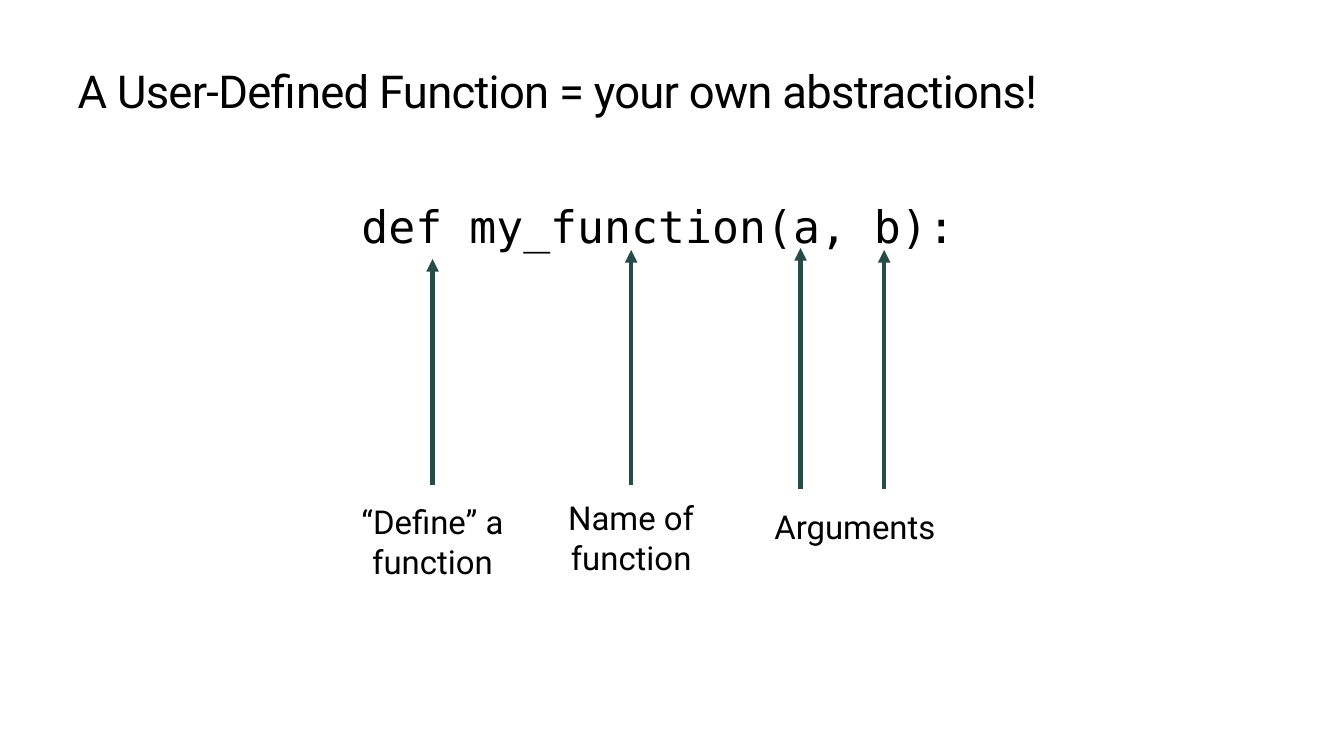
from lxml import etree
from pptx import Presentation
from pptx.dml.color import RGBColor
from pptx.enum.shapes import MSO_CONNECTOR
from pptx.enum.text import MSO_ANCHOR, PP_ALIGN
from pptx.oxml.ns import qn
from pptx.util import Inches, Pt

BLACK = RGBColor(0x00, 0x00, 0x00)
DARK_TEAL = RGBColor(0x27, 0x4B, 0x47)
TEXT_FONT, CODE_FONT = "Roboto", "DejaVu Sans Mono"
LABEL_SIZE = 23.5
INSET = Inches(0.13)

TITLE = "A User-Defined Function = your own abstractions!"
CODE = "def my_function(a, b): "
# text, (left, top, width, height), alignment
LABELS = [
    ("“Define” a function", (3.3, 4.85, 1.98, 1.25), PP_ALIGN.CENTER),
    ("Name of function", (5.45, 4.81, 1.62, 0.57), PP_ALIGN.CENTER),
    ("Arguments", (7.55, 4.9, 1.98, 0.57), PP_ALIGN.LEFT),
]
# x, y at the label, y at the code
ARROWS = [(4.29, 4.81, 2.57), (6.26, 4.81, 2.48), (7.94, 4.85, 2.46), (8.77, 4.85, 2.48)]


def add_text(slide, text, box, size, font=TEXT_FONT, align=PP_ALIGN.LEFT):
    """Add a one-paragraph text box and return its paragraph."""
    frame = slide.shapes.add_textbox(*map(Inches, box)).text_frame
    frame.word_wrap = True
    frame.vertical_anchor = MSO_ANCHOR.TOP
    frame.margin_left = frame.margin_right = INSET
    frame.margin_top = frame.margin_bottom = INSET
    paragraph = frame.paragraphs[0]
    paragraph.text = text
    paragraph.alignment = align
    paragraph.font.name = font
    paragraph.font.size = Pt(size)
    paragraph.font.color.rgb = BLACK
    return paragraph


def add_arrow(slide, x, start_y, tip_y):
    arrow = slide.shapes.add_connector(
        MSO_CONNECTOR.STRAIGHT, Inches(x), Inches(start_y), Inches(x), Inches(tip_y))
    arrow.line.color.rgb = DARK_TEAL
    arrow.line.width = Pt(3)
    properties = arrow._element.spPr
    etree.SubElement(properties.find(qn("a:ln")), qn("a:tailEnd"), type="triangle")
    etree.SubElement(properties, qn("a:effectLst"))


def main():
    prs = Presentation()
    prs.slide_width, prs.slide_height = Inches(13.33), Inches(7.5)
    slide = prs.slides.add_slide(prs.slide_layouts[6])

    title = add_text(slide, TITLE, (0.64, 0.5, 12.05, 0.61), 32.4)
    title.runs[0].font._element.set("spc", "-50")

    code = add_text(slide, CODE, (0.64, 1.57, 12.05, 5.29), 32, CODE_FONT, PP_ALIGN.CENTER)
    code.line_spacing = 1.5
    code.space_before = Pt(6.4)

    for arrow in ARROWS:
        add_arrow(slide, *arrow)
    for text, box, align in LABELS:
        add_text(slide, text, box, LABEL_SIZE, align=align)

    prs.save("out.pptx")


if __name__ == "__main__":
    main()
